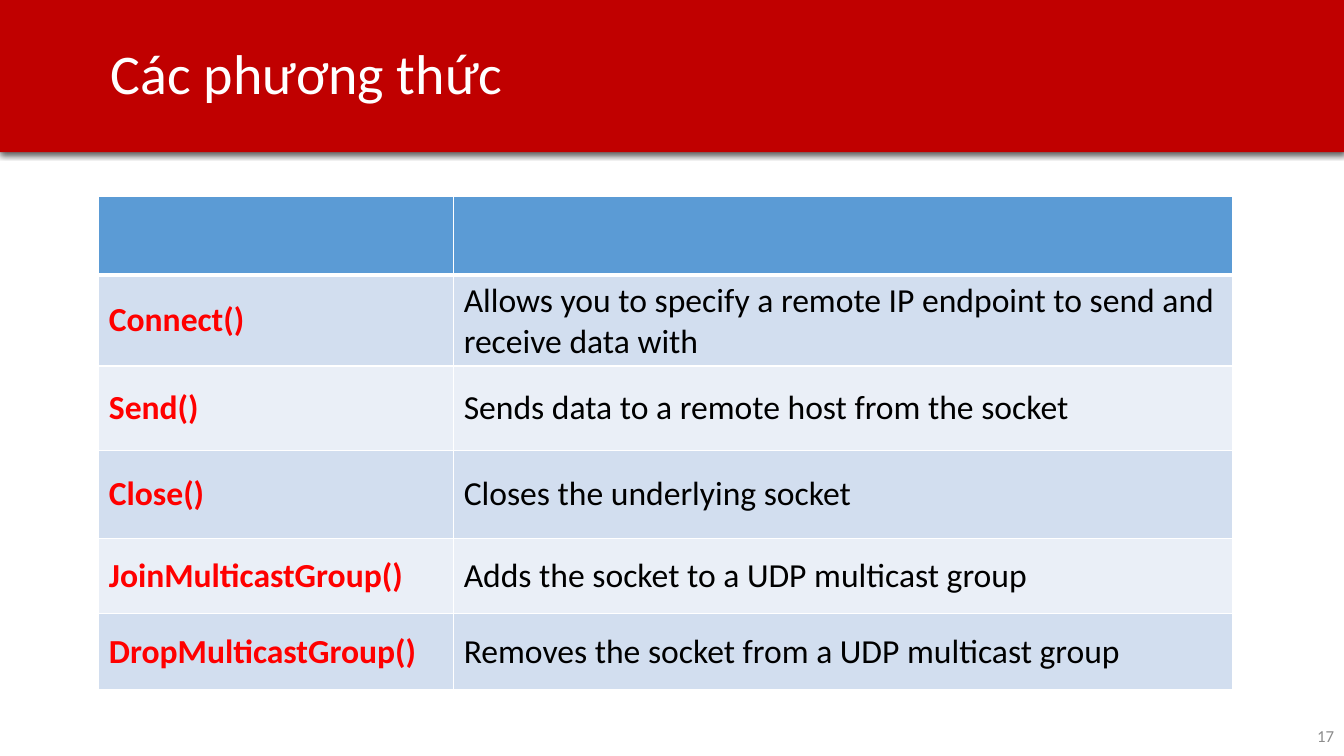
import dataclasses

import pptx
import pptx.dml.color
import pptx.enum.shapes
import pptx.enum.text
import pptx.oxml
import pptx.oxml.ns
import pptx.util

Inches = pptx.util.Inches
Align = pptx.enum.text.PP_ALIGN
Anchor = pptx.enum.text.MSO_ANCHOR

METHODS = [
    ("Connect()", "Allows you to specify a remote IP endpoint to send and receive data with"),
    ("Send()", "Sends data to a remote host from the socket"),
    ("Close()", "Closes the underlying socket"),
    ("JoinMulticastGroup()", "Adds the socket to a UDP multicast group"),
    ("DropMulticastGroup()", "Removes the socket from a UDP multicast group"),
]
COLUMN_WIDTHS = [3.52, 7.73]
ROW_HEIGHTS = [0.78, 0.78, 0.84, 0.87, 0.75, 0.75]


@dataclasses.dataclass(frozen=True)
class Theme:
    font: str = "Calibri"
    banner: str = "C00000"
    white: str = "FFFFFF"
    black: str = "000000"
    method: str = "FF0000"
    number: str = "8C8C8C"
    header: str = "5B9BD5"
    bands: tuple = ("D2DEEF", "EAEFF7")
    title_size: int = 40
    body_size: int = 24
    number_size: int = 12


def paint(fill, color):
    fill.solid()
    fill.fore_color.rgb = pptx.dml.color.RGBColor.from_string(color)


class SlideBuilder:
    """Draws themed elements on the current slide."""

    def __init__(self, page, theme):
        self.page = page
        self.theme = theme

    def set_text(self, frame, text, size, color, bold=False, align=Align.LEFT):
        frame.text = text
        frame.word_wrap = True
        para = frame.paragraphs[0]
        para.alignment = align
        font = para.runs[0].font
        font.name = self.theme.font
        font.size = pptx.util.Pt(size)
        font.bold = bold
        font.color.rgb = pptx.dml.color.RGBColor.from_string(color)
        return para

    def banner(self, text, width, height):
        box = self.page.shapes.add_shape(
            pptx.enum.shapes.MSO_SHAPE.RECTANGLE, 0, 0, Inches(width), Inches(height))
        paint(box.fill, self.theme.banner)
        box.line.fill.background()
        self.shade(box)
        frame = box.text_frame
        frame.margin_left = Inches(1.1)
        frame.vertical_anchor = Anchor.MIDDLE
        para = self.set_text(frame, text, self.theme.title_size, self.theme.white)
        para.line_spacing = 0.9

    def shade(self, box):
        box.shadow.inherit = False
        effects = box._element.spPr.find(pptx.oxml.ns.qn("a:effectLst"))
        effects.append(pptx.oxml.parse_xml(
            f'<a:outerShdw {pptx.oxml.ns.nsdecls("a")} blurRad="57150" dist="19050" '
            f'dir="5400000" algn="ctr" rotWithShape="0"><a:srgbClr val="{self.theme.black}">'
            '<a:alpha val="63000"/></a:srgbClr></a:outerShdw>'))

    def page_number(self, text, left, top, width, height):
        box = self.page.shapes.add_textbox(
            Inches(left), Inches(top), Inches(width), Inches(height))
        box.text_frame.vertical_anchor = Anchor.MIDDLE
        self.set_text(box.text_frame, text, self.theme.number_size, self.theme.number,
                      align=Align.RIGHT)

    def borders(self, cell, top, bottom):
        properties = cell._tc.get_or_add_tcPr()
        for side, points in (("L", 1), ("R", 1), ("T", top), ("B", bottom)):
            properties.append(pptx.oxml.parse_xml(
                f'<a:ln{side} {pptx.oxml.ns.nsdecls("a")} w="{pptx.util.Pt(points)}">'
                f'<a:solidFill><a:srgbClr val="{self.theme.white}"/></a:solidFill>'
                f'</a:ln{side}>'))

    def method_table(self, entries, left, top):
        theme = self.theme
        table = self.page.shapes.add_table(
            len(ROW_HEIGHTS), len(COLUMN_WIDTHS), Inches(left), Inches(top),
            Inches(sum(COLUMN_WIDTHS)), Inches(sum(ROW_HEIGHTS))).table
        for column, width in zip(table.columns, COLUMN_WIDTHS):
            column.width = Inches(width)
        for row, height in zip(table.rows, ROW_HEIGHTS):
            row.height = Inches(height)
        for cell in table.rows[0].cells:
            self.borders(cell, 1, 3)
            paint(cell.fill, theme.header)
        for index, entry in enumerate(entries):
            for column, text in enumerate(entry):
                cell = table.cell(index + 1, column)
                is_name = column == 0
                self.borders(cell, 3 if index == 0 else 1, 1)
                paint(cell.fill, theme.bands[index % 2])
                cell.vertical_anchor = Anchor.MIDDLE
                self.set_text(cell.text_frame, text, theme.body_size,
                              theme.method if is_name else theme.black, is_name)


def main():
    deck = pptx.Presentation()
    deck.slide_width = Inches(13.33)
    deck.slide_height = Inches(7.5)
    builder = SlideBuilder(deck.slides.add_slide(deck.slide_layouts[6]), Theme())
    builder.banner("Các phương thức", 13.33, 1.51)
    builder.page_number("17", 10.33, 7.1, 3, 0.4)
    builder.method_table(METHODS, 0.98, 1.95)
    deck.save("out.pptx")


if __name__ == "__main__":
    main()
